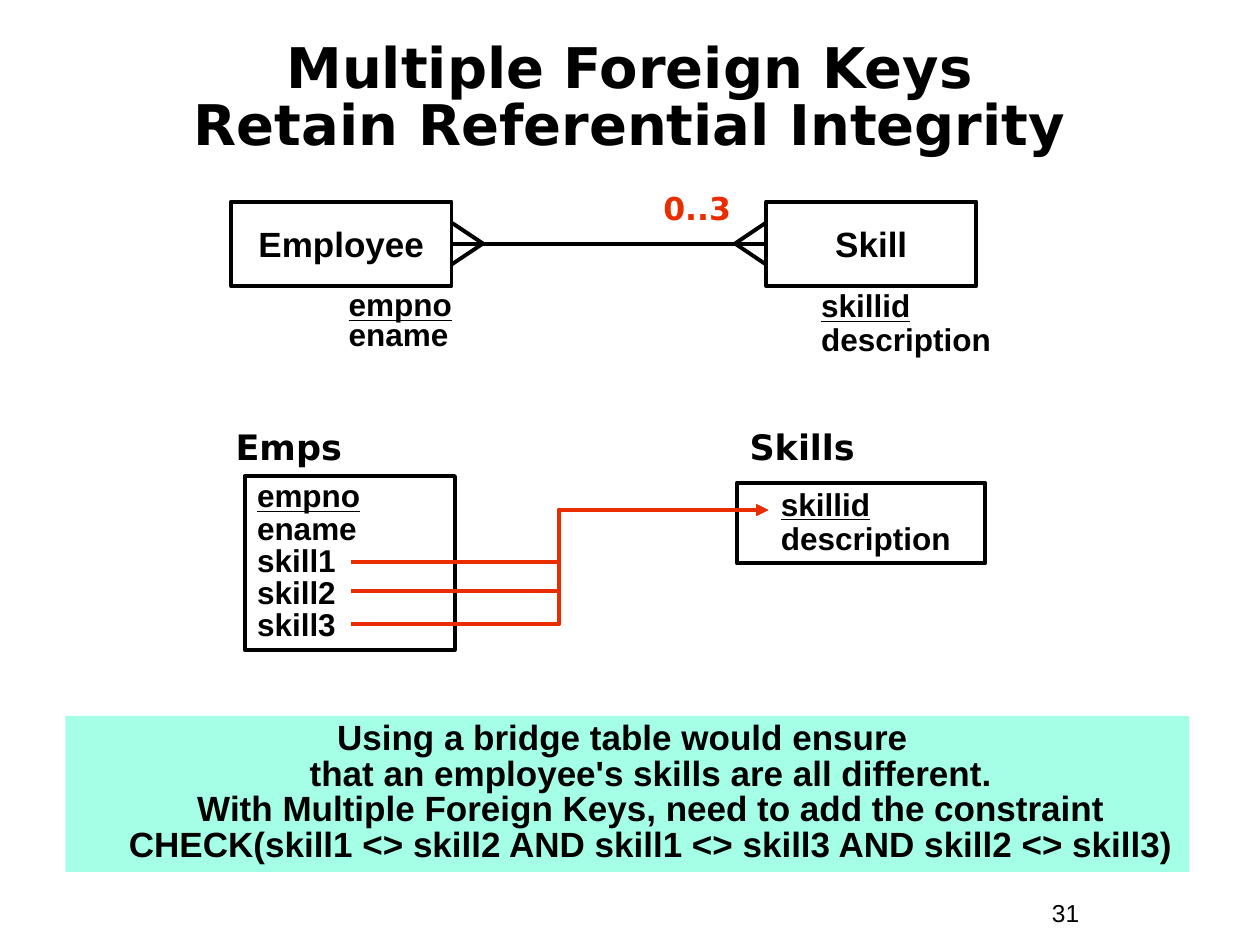
from dataclasses import dataclass
from typing import Optional

from lxml.etree import SubElement
from pptx import Presentation
from pptx.dml.color import RGBColor
from pptx.enum.shapes import MSO_CONNECTOR, MSO_SHAPE
from pptx.enum.text import MSO_ANCHOR, MSO_AUTO_SIZE, PP_ALIGN
from pptx.oxml.ns import qn
from pptx.util import Pt


@dataclass(frozen=True)
class Theme:
    black: RGBColor = RGBColor(0x00, 0x00, 0x00)
    red: RGBColor = RGBColor(0xEA, 0x2D, 0x00)
    mint: RGBColor = RGBColor(0xA5, 0xFF, 0xE7)
    body_font: str = "Arial"
    heading_font: str = "DejaVu Sans"
    title_size: float = 32
    large: float = 20
    medium: float = 18
    small: float = 14
    line_width: float = 2.25


THEME = Theme()


@dataclass(frozen=True)
class Box:
    """A text box, outlined box or filled box; a vertical tab breaks a line."""
    left: float
    top: float
    width: float
    height: float
    lines: tuple[str, ...]
    size: float = THEME.medium
    font: str = THEME.body_font
    color: RGBColor = THEME.black
    bold: bool = True
    key_first: bool = False
    spacings: tuple[float, ...] = (1.0,)
    centered: bool = False
    middle: bool = False
    margin: float = 0
    indent: float = 0
    outlined: bool = False
    fill: Optional[RGBColor] = None


def format_text(shape, box: Box) -> None:
    frame = shape.text_frame
    frame.text = "\n".join(box.lines)
    frame.word_wrap = not (box.outlined and box.middle)
    frame.auto_size = MSO_AUTO_SIZE.NONE if box.middle else MSO_AUTO_SIZE.SHAPE_TO_FIT_TEXT
    frame.vertical_anchor = MSO_ANCHOR.MIDDLE if box.middle else MSO_ANCHOR.TOP
    for index, paragraph in enumerate(frame.paragraphs):
        paragraph.alignment = PP_ALIGN.CENTER if box.centered else PP_ALIGN.LEFT
        paragraph.line_spacing = box.spacings[min(index, len(box.spacings) - 1)]
        paragraph.space_before = Pt(0)
        properties = paragraph._p.get_or_add_pPr()
        properties.set("marL", str(Pt(box.margin)))
        properties.set("indent", str(Pt(box.indent)))
        for run in paragraph.runs:
            run.font.name = box.font
            run.font.size = Pt(box.size)
            run.font.bold = box.bold
            run.font.underline = box.key_first and index == 0
            run.font.color.rgb = box.color


def draw_box(slide, box: Box) -> None:
    place = [Pt(value) for value in (box.left, box.top, box.width, box.height)]
    if box.outlined or box.fill is not None:
        shape = slide.shapes.add_shape(MSO_SHAPE.RECTANGLE, *place)
        shape.shadow.inherit = False
        if box.fill is not None:
            shape.fill.solid()
            shape.fill.fore_color.rgb = box.fill
        else:
            shape.fill.background()
        if box.outlined:
            shape.line.color.rgb = THEME.black
            shape.line.width = Pt(THEME.line_width)
        else:
            shape.line.fill.background()
    else:
        shape = slide.shapes.add_textbox(*place)
    format_text(shape, box)


def draw_line(slide, start: tuple[float, float], end: tuple[float, float],
              color: RGBColor = THEME.black, elbow_arrow: bool = False) -> None:
    kind = MSO_CONNECTOR.ELBOW if elbow_arrow else MSO_CONNECTOR.STRAIGHT
    connector = slide.shapes.add_connector(kind, *(Pt(value) for value in start + end))
    connector.line.color.rgb = color
    connector.line.width = Pt(THEME.line_width)
    if elbow_arrow:
        SubElement(connector.line._get_or_add_ln(), qn("a:tailEnd"), type="triangle")
    SubElement(connector._element.spPr, qn("a:effectLst"))


def draw_crow_foot(slide, tip: float, edge: float, middle: float) -> None:
    for offset in (-12, 12):
        draw_line(slide, (tip, middle), (edge, middle + offset))


def entity(left: float, width: float, name: str) -> Box:
    return Box(left, 115.2, width, 48.2, (name,), size=THEME.large,
               centered=True, middle=True, outlined=True)


def table_heading(left: float, name: str) -> Box:
    return Box(left, 239.8, 154.8, 31.7, (name,), size=THEME.large, font=THEME.heading_font)


SKILL_COLUMNS = ("skillid", "description")
NOTE = "\v".join((
    "Using a bridge table would ensure ",
    "that an employee's skills are all different.",
    "With Multiple Foreign Keys, need to add the constraint",
    "CHECK(skill1 <> skill2 AND skill1 <> skill3 AND skill2 <> skill3)",
))
TITLE = Box(24, 24, 672, 66, ("Multiple Foreign Keys\vRetain Referential Integrity",),
            size=THEME.title_size, font=THEME.heading_font, spacings=(0.85,),
            centered=True, middle=True)

BOXES = (
    # Entity-relationship diagram
    entity(132, 126, "Employee"),
    entity(437.8, 120.2, "Skill"),
    Box(192.2, 162, 126, 43.2, ("empno", "ename"), key_first=True, spacings=(0.9, 0.75)),
    Box(462.2, 162.6, 120.2, 46, SKILL_COLUMNS, key_first=True, spacings=(0.9,)),
    Box(355.6, 108, 85.6, 26, ("0..3",), font=THEME.heading_font, color=THEME.red,
        spacings=(0.85,), centered=True, margin=27, indent=-27),
    # Tables
    table_heading(127.5, "Emps"),
    table_heading(421.2, "Skills"),
    Box(139.8, 272, 120.2, 99.3, ("empno", "ename", "skill1", "skill2", "skill3"),
        key_first=True, spacings=(0.85,), outlined=True),
    Box(421.2, 275.8, 141.8, 46.2, SKILL_COLUMNS, key_first=True,
        spacings=(0.9,), margin=18, outlined=True),
    # Constraint note and page number
    Box(37.4, 409, 642.2, 89.2, (NOTE,), size=THEME.large, spacings=(0.85,),
        centered=True, margin=27, indent=-27, fill=THEME.mint),
    Box(594, 509.8, 66.2, 24.5, ("31",), size=THEME.small, bold=False),
)


def main() -> None:
    presentation = Presentation()
    presentation.slide_width, presentation.slide_height = Pt(720), Pt(540)
    slide = presentation.slides.add_slide(presentation.slide_layouts[5])

    # Title
    title = slide.shapes.title
    title.left, title.top = Pt(TITLE.left), Pt(TITLE.top)
    title.width, title.height = Pt(TITLE.width), Pt(TITLE.height)
    format_text(title, TITLE)

    for box in BOXES:
        draw_box(slide, box)

    # Many-to-many relationship
    middle = 139.2
    draw_line(slide, (259, middle), (437, middle))
    draw_crow_foot(slide, 276, 258, middle)
    draw_crow_foot(slide, 420, 437.8, middle)

    # Foreign keys pointing to the skill key
    for key_top in (321.2, 337.8, 356.6):
        draw_line(slide, (200.4, key_top), (439, 291.5), THEME.red, elbow_arrow=True)

    presentation.save("out.pptx")


if __name__ == "__main__":
    main()
